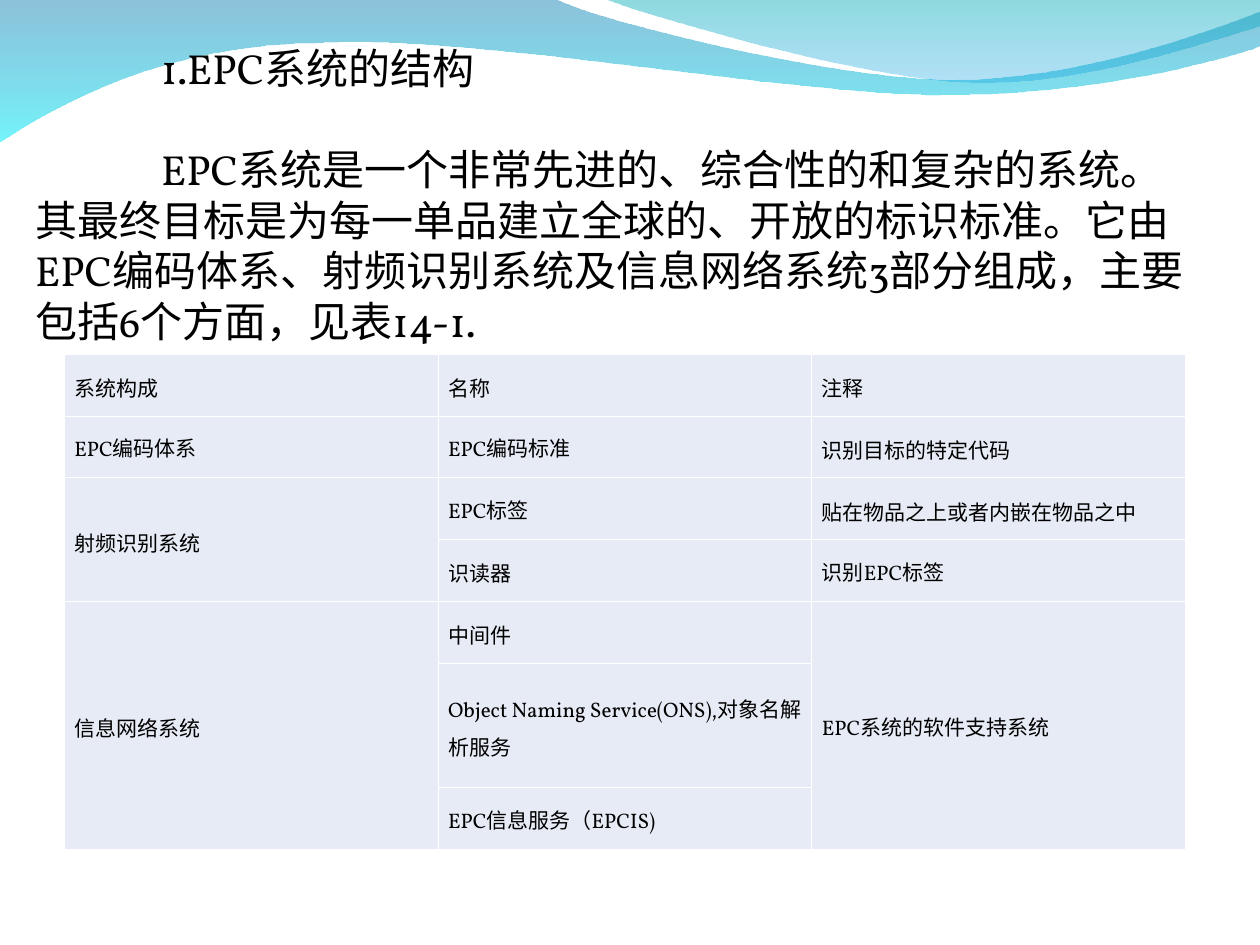
from dataclasses import dataclass

from lxml.etree import SubElement
from pptx import Presentation
from pptx.dml.color import RGBColor as RGB
from pptx.enum.text import MSO_ANCHOR, MSO_AUTO_SIZE as AUTO, PP_ALIGN as ALIGN
from pptx.oxml.ns import qn
from pptx.util import Inches, Pt


@dataclass(frozen=True)
class Theme:
    font: str = "Vollkorn"
    text: str = "000000"
    cell: str = "E7EBF5"
    border: str = "FFFFFF"
    body_size: int = 24
    cell_size: int = 12


@dataclass(frozen=True)
class Stop:
    color: str
    opacity: int  # percent


@dataclass(frozen=True)
class Wave:
    start: tuple
    segments: tuple  # one point: line; three points: cubic curve
    top: Stop
    bottom: Stop


@dataclass(frozen=True)
class Entry:
    row: int
    col: int
    text: str
    rows: int = 1


THEME = Theme()

WAVES = (
    Wave((0, -0.01),
         (((4.4, -0.01),),
          ((4.76, 0.17), (6.64, 0.63), (7.58, 0.63)),
          ((8.53, 0.63), (9.58, 0.26), (10, 0.09)),
          ((10.01, 0.36),),
          ((9.83, 0.44), (8.7, 0.76), (7.46, 0.75)),
          ((6.22, 0.75), (3.82, 0.28), (2.57, 0.34)),
          ((1.29, 0.35), (0.46, 0.83), (-0.01, 1.13)),
          ((0, -0.01),)),
         Stop("0079AF", 45), Stop("00EBF8", 55)),
    Wave((4.79, -0.01),
         (((5.09, 0.11), (6.82, 0.62), (7.69, 0.65)),
          ((8.56, 0.69), (9.61, 0.32), (10, 0.21)),
          ((10, 0),),
          ((4.79, -0.01),)),
         Stop("00ADB6", 45), Stop("009BE5", 30)),
)

HEADING = "\t1.EPC系统的结构"
BODY = ("\tEPC系统是一个非常先进的、综合性的和复杂的系统。其最终目标是为每一单品建立全球的、"
        "开放的标识标准。它由EPC编码体系、射频识别系统及信息网络系统3部分组成，"
        "主要包括6个方面，见表14-1.")

TABLE_WIDTH, TABLE_HEIGHT = 8.9, 3.93
ROW_SHARES = (1, 1, 1, 1, 1, 2, 1)
ENTRIES = (
    Entry(0, 0, "系统构成"), Entry(0, 1, "名称"), Entry(0, 2, "注释"),
    Entry(1, 0, "EPC编码体系"), Entry(1, 1, "EPC编码标准"),
    Entry(1, 2, "识别目标的特定代码"),
    Entry(2, 0, "射频识别系统", rows=2), Entry(2, 1, "EPC标签"),
    Entry(2, 2, "贴在物品之上或者内嵌在物品之中"),
    Entry(3, 1, "识读器"), Entry(3, 2, "识别EPC标签"),
    Entry(4, 0, "信息网络系统", rows=3), Entry(4, 1, "中间件"),
    Entry(4, 2, "EPC系统的软件支持系统", rows=3),
    Entry(5, 1, "Object Naming Service(ONS),对象名解析服务"),
    Entry(6, 1, "EPC信息服务（EPCIS)"),
)


def write(p, text: str, *, size: int, align=None, spacing=None, before=None) -> None:
    """Fill a paragraph with one formatted run and tab stops at each inch."""
    p.alignment = align
    p.line_spacing = spacing
    if before is not None:
        p.space_before = Pt(before)
    tabs = SubElement(p._p.get_or_add_pPr(), qn("a:tabLst"))
    for inch in range(8):
        SubElement(tabs, qn("a:tab"), pos=str(Inches(inch)), algn="l")
    r = p.add_run()
    r.text = text
    r.font.name = THEME.font
    r.font.size = Pt(size)
    r.font.color.rgb = RGB.from_string(THEME.text)


def bend(sp, segments: tuple) -> None:
    """Turn each run of three line points into one cubic curve."""
    outline = next(sp._element.iter(qn("a:path")))
    lines = iter(outline.findall(qn("a:lnTo")))
    for segment in segments:
        group = [next(lines) for _ in segment]
        if len(group) == 3:
            curve = SubElement(outline, qn("a:cubicBezTo"))
            group[0].addprevious(curve)
            for line in group:
                curve.append(line[0])
                outline.remove(line)


def draw_wave(s, wave: Wave) -> None:
    points = [(Inches(x), Inches(y)) for seg in wave.segments for x, y in seg]
    builder = s.shapes.build_freeform(*map(Inches, wave.start))
    builder.add_line_segments(points, close=True)
    sp = builder.convert_to_shape()
    bend(sp, wave.segments)
    sp.shadow.inherit = False
    sp.line.fill.background()
    sp.fill.gradient()
    sp.fill.gradient_angle = 270  # top to bottom
    stops = (wave.top, wave.bottom)
    for position, (gs, stop) in enumerate(zip(sp.fill.gradient_stops, stops)):
        gs.position = position
        gs.color.rgb = RGB.from_string(stop.color)
    for color, stop in zip(sp._element.spPr.iter(qn("a:srgbClr")), stops):
        SubElement(color, qn("a:alpha"), val=str(stop.opacity * 1000))


def draw_intro(s) -> None:
    sp = s.shapes.add_textbox(Inches(0.18), Inches(0.29), Inches(9.41), Inches(2.5))
    tf = sp.text_frame
    tf.word_wrap = True
    tf.auto_size = AUTO.SHAPE_TO_FIT_TEXT
    write(tf.paragraphs[0], HEADING, size=THEME.body_size)
    write(tf.add_paragraph(), BODY, size=THEME.body_size, before=29)


def style_cell(cell) -> None:
    cell.vertical_anchor = MSO_ANCHOR.MIDDLE
    cell.margin_left = cell.margin_right = Inches(0.08)
    cell.margin_top = cell.margin_bottom = Inches(0.05)
    tcPr = cell._tc.get_or_add_tcPr()
    for side in ("lnL", "lnR", "lnT", "lnB"):
        ln = SubElement(tcPr, qn(f"a:{side}"), w=str(Pt(0.45)))
        fill = SubElement(ln, qn("a:solidFill"))
        SubElement(fill, qn("a:srgbClr"), val=THEME.border)
    cell.fill.solid()
    cell.fill.fore_color.rgb = RGB.from_string(THEME.cell)


def draw_table(s) -> None:
    frame = s.shapes.add_table(len(ROW_SHARES), 3, Inches(0.51), Inches(2.81),
                               Inches(TABLE_WIDTH), Inches(TABLE_HEIGHT))
    table = frame.table
    table.first_row = table.horz_banding = False
    for row, share in zip(table.rows, ROW_SHARES):
        row.height = Inches(TABLE_HEIGHT * share / sum(ROW_SHARES))
    for cell in table.iter_cells():
        style_cell(cell)
    for e in ENTRIES:
        cell = table.cell(e.row, e.col)
        if e.rows > 1:
            cell.merge(table.cell(e.row + e.rows - 1, e.col))
        write(cell.text_frame.paragraphs[0], e.text, size=THEME.cell_size,
              align=ALIGN.JUSTIFY, spacing=1.15)


def main() -> None:
    prs = Presentation()
    prs.slide_width, prs.slide_height = Inches(10), Inches(7.5)
    s = prs.slides.add_slide(prs.slide_layouts[6])

    # Waves across the top
    for wave in WAVES:
        draw_wave(s, wave)

    # Heading and introduction
    draw_intro(s)

    # System structure table
    draw_table(s)

    prs.save("out.pptx")


if __name__ == "__main__":
    main()
